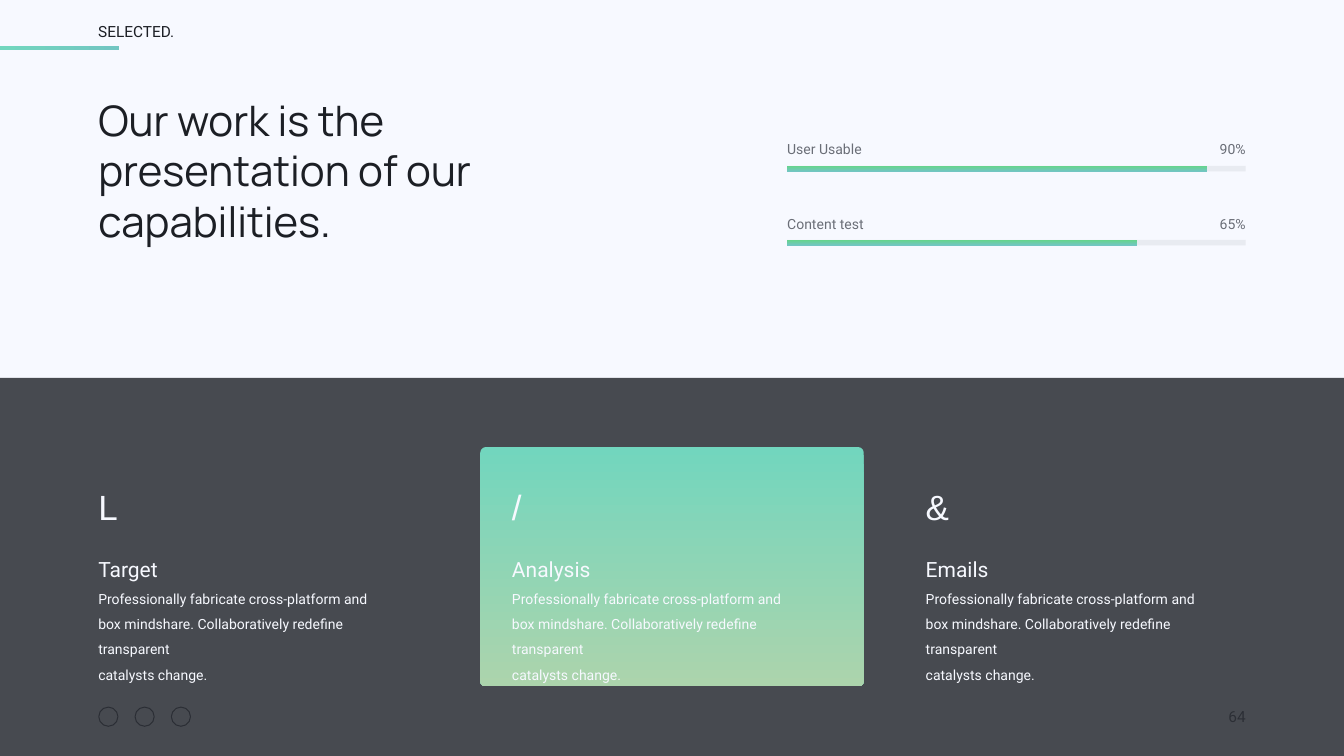
from lxml.etree import SubElement
from pptx import Presentation
from pptx.dml.color import RGBColor
from pptx.enum.shapes import MSO_SHAPE
from pptx.enum.text import MSO_ANCHOR, MSO_AUTO_SIZE, PP_ALIGN
from pptx.oxml.ns import qn
from pptx.util import Inches, Pt

COLORS = {
    "paper": "F7F9FF", "ink": "1C1F25", "gray": "6A6E77", "track": "C8CBD1",
    "mint": "72D6BE", "teal": "72C6C2", "sage": "ACD4AC", "green": "65D589",
}
HEADLINE = ["Our work is the", "presentation of our", "capabilities."]
DESCRIPTION = [
    "Professionally fabricate cross-platform and",
    "box mindshare. Collaboratively redefine transparent",
    "catalysts change.",
]
SERVICES = [("L", "Target"), ("/", "Analysis"), ("&", "Emails")]
SKILLS = [("User Usable", 1.48, "90%", 8.33), ("Content test", 1.52, "65%", 6.94)]
PAGE_NUMBER = "64"

MARGIN = 1.95
RIGHT_EDGE = 24.72
SERVICE_STEP = 8.21
SKILL_LEFT, SKILL_TOP, SKILL_STEP = 15.62, 2.63, 1.47
BADGE_COUNT, BADGE_STEP, BADGE_SIZE = 3, 0.72, 0.38


def color(name):
    return RGBColor.from_string(COLORS[name])


def add_block(slide, kind, box, fill=None, opacity=100, gradient=None, angle=0):
    block = slide.shapes.add_shape(kind, *map(Inches, box))
    block.shadow.inherit = False
    block.line.fill.background()
    if gradient:
        block.fill.gradient()
        block.fill.gradient_angle = angle
        for stop, name in zip(block.fill.gradient_stops, gradient):
            stop.color.rgb = color(name)
    elif fill:
        block.fill.solid()
        block.fill.fore_color.rgb = color(fill)
        if opacity < 100:
            tint = block._element.spPr.find(qn("a:solidFill"))[0]
            SubElement(tint, qn("a:alpha")).set("val", str(opacity * 1000))
    else:
        block.fill.background()
    return block


def write(frame, lines, name, font="Roboto", spacing=None, align=PP_ALIGN.LEFT,
          anchor=MSO_ANCHOR.TOP, wrap=False):
    frame.margin_left = frame.margin_right = frame.margin_top = frame.margin_bottom = 0
    frame.auto_size = MSO_AUTO_SIZE.NONE
    frame.word_wrap = wrap
    frame.vertical_anchor = anchor
    for index, (text, size) in enumerate(lines):
        paragraph = frame.add_paragraph() if index else frame.paragraphs[0]
        paragraph.alignment = align
        if spacing:
            paragraph.line_spacing = spacing
        run = paragraph.add_run()
        run.text = text
        run.font.name = font
        run.font.size = Pt(size)
        run.font.color.rgb = color(name)


def add_text(slide, box, lines, name, **style):
    write(slide.shapes.add_textbox(*map(Inches, box)).text_frame, lines, name, **style)


def add_frame(slide):
    for index in range(BADGE_COUNT):
        box = (MARGIN + 0.01 + index * BADGE_STEP, 14.03, BADGE_SIZE, BADGE_SIZE)
        badge = add_block(slide, MSO_SHAPE.OVAL, box)
        badge.line.color.rgb = color("gray")
        badge.line.width = Pt(1.5)
    add_text(slide, (RIGHT_EDGE - 0.4, 14.03, 0.4, 0.4), [(PAGE_NUMBER, 22)], "gray",
             align=PP_ALIGN.RIGHT)
    add_text(slide, (MARGIN, 0.43, 1.53, 0.4), [("SELECTED.", 22)], "ink")
    add_block(slide, MSO_SHAPE.RECTANGLE, (0, 0.92, 2.36, 0.07), gradient=("mint", "teal"))
    add_block(slide, MSO_SHAPE.RECTANGLE, (0, 7.5, 26.67, 7.5), "ink", 80)


def add_services(slide):
    card = add_block(slide, MSO_SHAPE.ROUNDED_RECTANGLE, (9.53, 8.87, 7.61, 4.75),
                     gradient=("mint", "sage"), angle=270)
    card.adjustments[0] = 0.023
    for index, (symbol, heading) in enumerate(SERVICES):
        left = MARGIN + index * SERVICE_STEP
        add_text(slide, (left, 9.47, 0.71, 0.73), [(symbol, 50)], "paper", font="Arial",
                 spacing=1.5, anchor=MSO_ANCHOR.MIDDLE)
        lines = [(heading, 30)] + [(line, 20) for line in DESCRIPTION]
        add_text(slide, (left, 10.8, 6.35, 2.26), lines, "paper", spacing=1.5, wrap=True)


def add_skills(slide):
    for index, (label, label_width, percent, bar_width) in enumerate(SKILLS):
        top = SKILL_TOP + index * SKILL_STEP
        bar_top = top + 0.66
        add_block(slide, MSO_SHAPE.RECTANGLE,
                  (SKILL_LEFT, bar_top, RIGHT_EDGE - SKILL_LEFT, 0.11), "track", 30)
        add_block(slide, MSO_SHAPE.RECTANGLE, (SKILL_LEFT, bar_top, bar_width, 0.11),
                  gradient=("green", "teal"), angle=270)
        add_text(slide, (SKILL_LEFT, top, label_width, 0.36), [(label, 20)], "gray",
                 spacing=1.5)
        add_text(slide, (RIGHT_EDGE - 0.54, top, 0.54, 0.36), [(percent, 20)], "gray",
                 spacing=1.5, align=PP_ALIGN.RIGHT)


def main():
    deck = Presentation()
    deck.slide_width, deck.slide_height = Inches(26.67), Inches(15)
    slide = deck.slides.add_slide(deck.slide_layouts[5])
    slide.background.fill.solid()
    slide.background.fill.fore_color.rgb = color("paper")

    headline = slide.shapes.title
    headline.left, headline.top = Inches(MARGIN), Inches(1.95)
    headline.width, headline.height = Inches(7.43), Inches(2.92)
    write(headline.text_frame, [(line, 60) for line in HEADLINE], "ink", font="Manrope",
          anchor=MSO_ANCHOR.BOTTOM)

    add_frame(slide)
    add_services(slide)
    add_skills(slide)
    deck.save("out.pptx")


if __name__ == "__main__":
    main()
